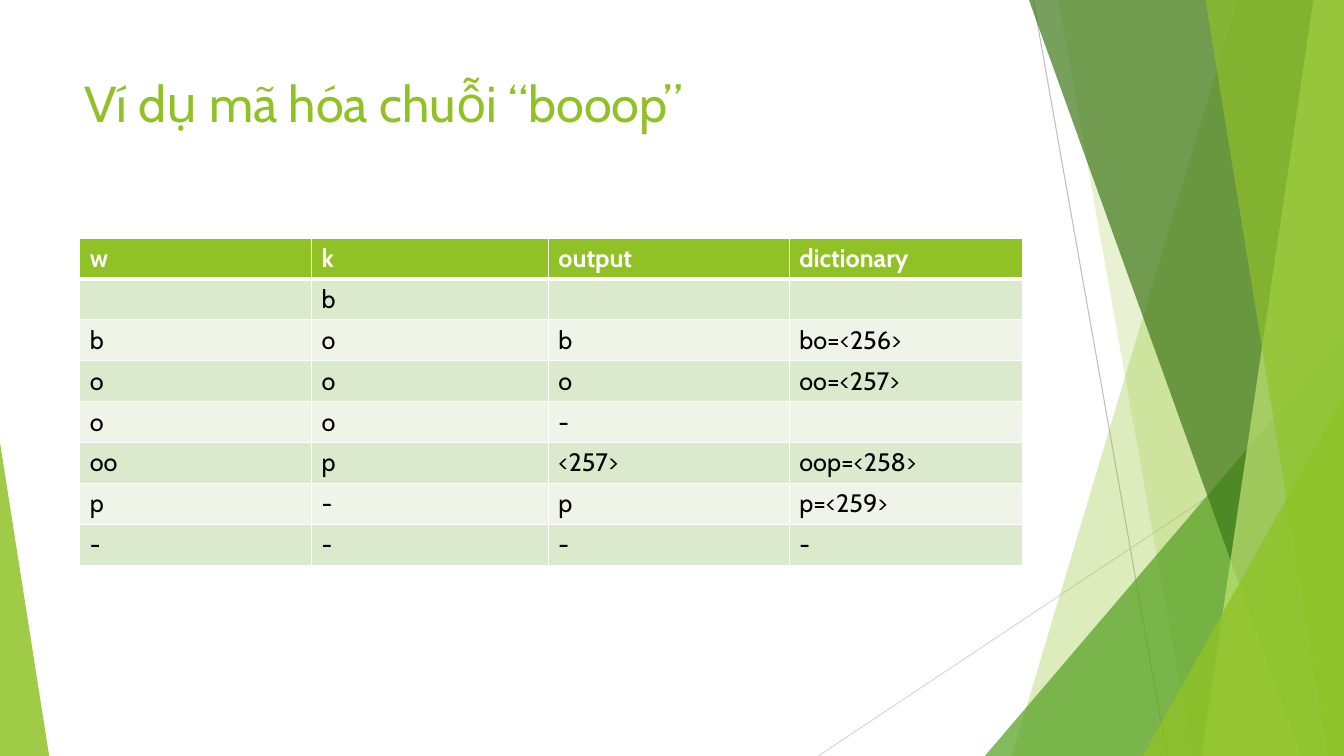
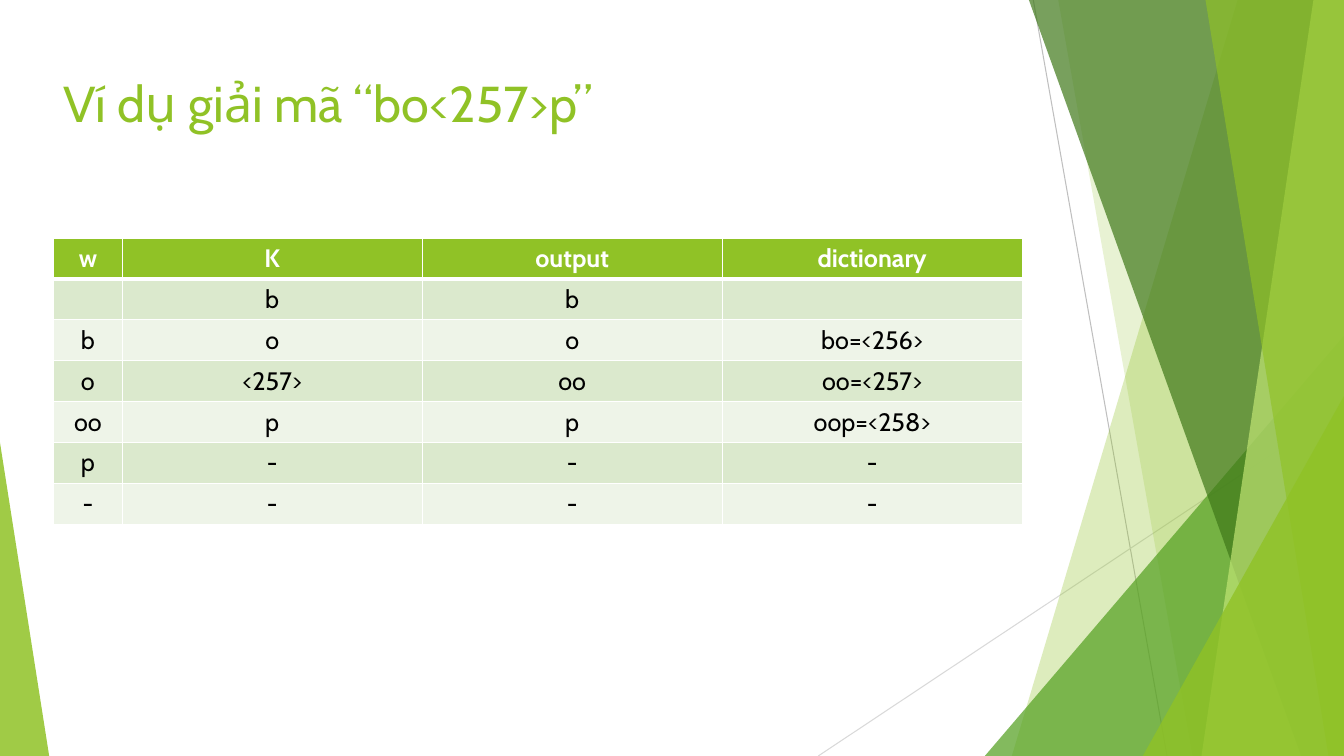
from lxml.etree import SubElement
from pptx import Presentation
from pptx.dml.color import RGBColor as RGB
from pptx.enum.shapes import MSO_CONNECTOR as LINK, MSO_SHAPE as SHAPE
from pptx.enum.text import MSO_ANCHOR as ANCHOR, PP_ALIGN as ALIGN
from pptx.oxml.ns import qn
from pptx.util import Cm, Pt

FONT = "Cabin"
LIME = RGB(0x90, 0xC2, 0x26)
GREEN = RGB(0x54, 0xA0, 0x21)
DARK = RGB(0x3F, 0x78, 0x19)
PALE = RGB(0xC0, 0xE4, 0x74)
ODD = RGB(0xDB, 0xE9, 0xCD)
EVEN = RGB(0xEE, 0xF4, 0xE8)
WHITE = RGB(0xFF, 0xFF, 0xFF)
BLACK = RGB(0x00, 0x00, 0x00)
GREY = RGB(0xBF, 0xBF, 0xBF)
SILVER = RGB(0xD9, 0xD9, 0xD9)

WIDE, HIGH = 33.87, 19.05
ROW = 1.03
TABLE_TOP = 6

SLIDES = [
    {
        "title": "Ví dụ mã hóa chuỗi “booop”",
        "title_left": 1.88,
        "table_left": 2.01,
        "cols": [5.84, 5.97, 6.07, 5.87],
        "align": ALIGN.LEFT,
        "rows": [
            ("w", "k", "output", "dictionary"),
            ("", "b", "", ""),
            ("b", "o", "b", "bo=<256>"),
            ("o", "o", "o", "oo=<257>"),
            ("o", "o", "-", ""),
            ("oo", "p", "<257>", "oop=<258>"),
            ("p", "-", "p", "p=<259>"),
            ("-", "-", "-", "-"),
        ],
    },
    {
        "title": "Ví dụ giải mã “bo<257>p”",
        "title_left": 1.35,
        "table_left": 1.35,
        "cols": [1.73, 7.56, 7.56, 7.56],
        "align": ALIGN.CENTER,
        "rows": [
            ("w", "K", "output", "dictionary"),
            ("", "b", "b", ""),
            ("b", "o", "o", "bo=<256>"),
            ("o", "<257>", "oo", "oo=<257>"),
            ("oo", "p", "p", "oop=<258>"),
            ("p", "-", "-", "-"),
            ("-", "-", "-", "-"),
        ],
    },
]

LINES = [
    ((26.04, 0), (29.41, HIGH), GREY),
    ((WIDE, 10.24), (20.62, HIGH), SILVER),
]

# kind, geometry, colour, opacity
BANDS = [
    ("band", (31.19, 25.5), LIME, 30),
    ("band", (26.67, 30.05), LIME, 20),
    ("peak", (24.82, 8.46, 9.05, 1), GREEN, 72),
    ("band", (25.93, 32.79), DARK, 70),
    ("band", (33.1, 30.28), PALE, 70),
    ("band", (30.38, 33.48), LIME, 65),
    ("peak", (28.8, 9.98, 5.07, 1), LIME, 80),
    ("peak", (0, 11.15, 1.24, 0), LIME, 85),
]


def style(par, size, color, bold=False):
    for run in par.runs:
        font = run.font
        font.name, font.size, font.bold = FONT, Pt(size), bold
        font.color.rgb = color


def add_band(slide, top, foot):
    pen = slide.shapes.build_freeform(Cm(top), 0)
    ends = [(WIDE, 0), (WIDE, HIGH), (foot, HIGH)]
    pen.add_line_segments([(Cm(x), Cm(y)) for x, y in ends], close=True)
    return pen.convert_to_shape()


def add_peak(slide, left, top, width, tip):
    shape = slide.shapes.add_shape(
        SHAPE.ISOSCELES_TRIANGLE, Cm(left), Cm(top), Cm(width), Cm(HIGH - top))
    shape.adjustments[0] = tip
    return shape


MAKERS = {"band": add_band, "peak": add_peak}


def add_decor(slide):
    for start, end, color in LINES:
        line = slide.shapes.add_connector(
            LINK.STRAIGHT, *[Cm(n) for n in start + end])
        line.line.color.rgb = color
        line.line.width = Pt(0.75)
        SubElement(line._element.spPr, qn("a:effectLst"))
    for kind, place, color, alpha in BANDS:
        shape = MAKERS[kind](slide, *place)
        shape.shadow.inherit = False
        shape.fill.solid()
        shape.fill.fore_color.rgb = color
        shape.line.fill.background()
        tint = shape._element.spPr.find(".//" + qn("a:srgbClr"))
        SubElement(tint, qn("a:alpha"), val=str(alpha * 1000))


def add_title(slide, text, left):
    box = slide.shapes.add_textbox(Cm(left), Cm(1.7), Cm(23.88), Cm(3.66))
    frame = box.text_frame
    frame.word_wrap = True
    frame.vertical_anchor = ANCHOR.TOP
    frame.text = text
    style(frame.paragraphs[0], 36, LIME)


def add_edges(cell, foot):
    props = cell._tc.get_or_add_tcPr()
    for side, width in (("L", 1), ("R", 1), ("T", 1), ("B", foot)):
        edge = SubElement(props, qn("a:ln" + side), w=str(Pt(width)))
        fill = SubElement(edge, qn("a:solidFill"))
        SubElement(fill, qn("a:srgbClr"), val=str(WHITE))


def add_grid(slide, rows, cols, left, align):
    table = slide.shapes.add_table(
        len(rows), len(cols), Cm(left), Cm(TABLE_TOP),
        Cm(sum(cols)), Cm(ROW * len(rows))).table
    for col, width in zip(table.columns, cols):
        col.width = Cm(width)
    for r, texts in enumerate(rows):
        head = r == 0
        table.rows[r].height = Cm(ROW)
        for c, text in enumerate(texts):
            cell = table.cell(r, c)
            add_edges(cell, 3 if head else 1)
            cell.fill.solid()
            cell.fill.fore_color.rgb = LIME if head else ODD if r % 2 else EVEN
            cell.text_frame.text = text
            par = cell.text_frame.paragraphs[0]
            par.alignment = align
            style(par, 18, WHITE if head else BLACK, head)


deck = Presentation()
deck.slide_width, deck.slide_height = Cm(WIDE), Cm(HIGH)
for page in SLIDES:
    slide = deck.slides.add_slide(deck.slide_layouts[6])
    add_decor(slide)
    add_title(slide, page["title"], page["title_left"])
    add_grid(slide, page["rows"], page["cols"], page["table_left"], page["align"])
deck.save("out.pptx")
